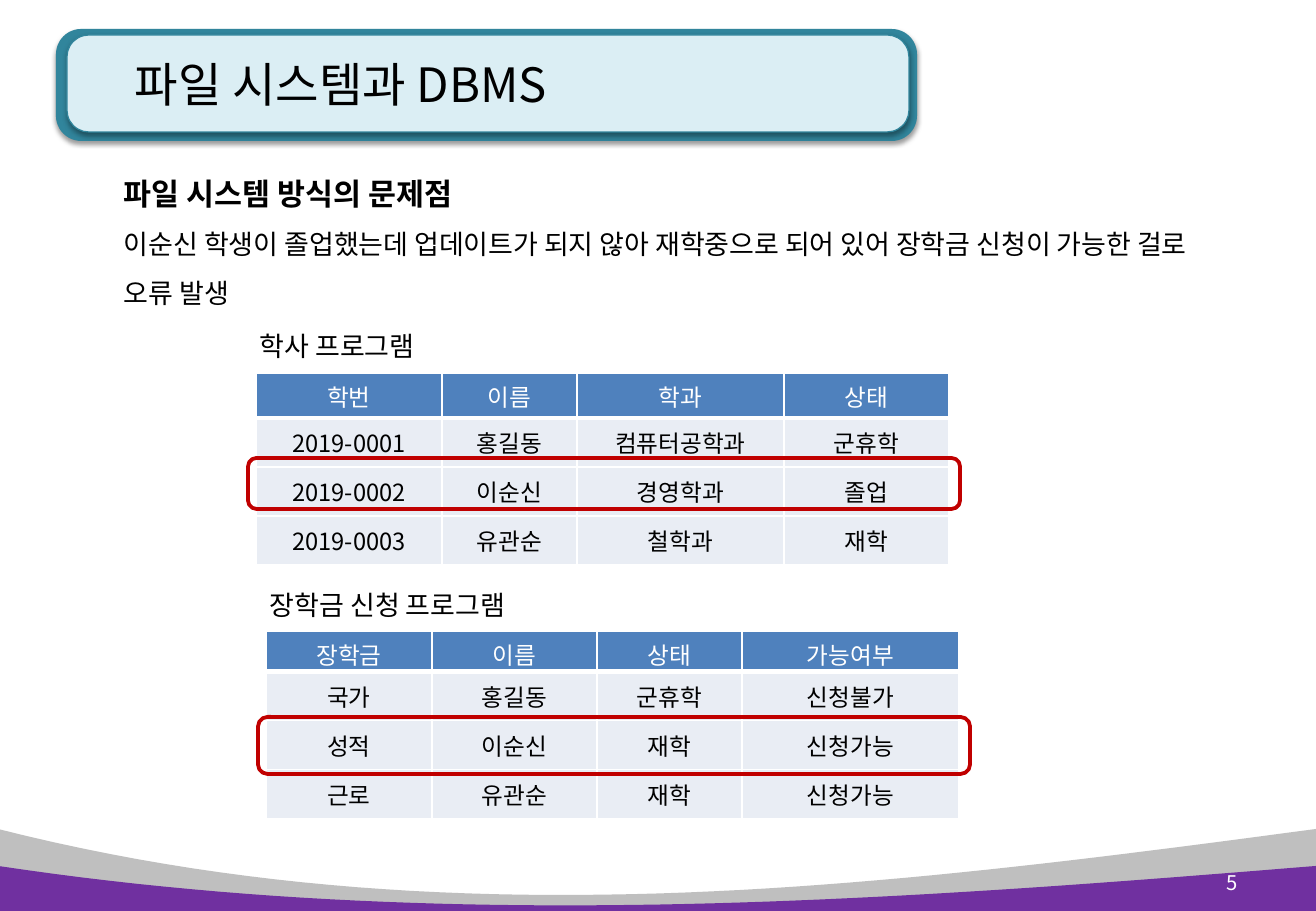
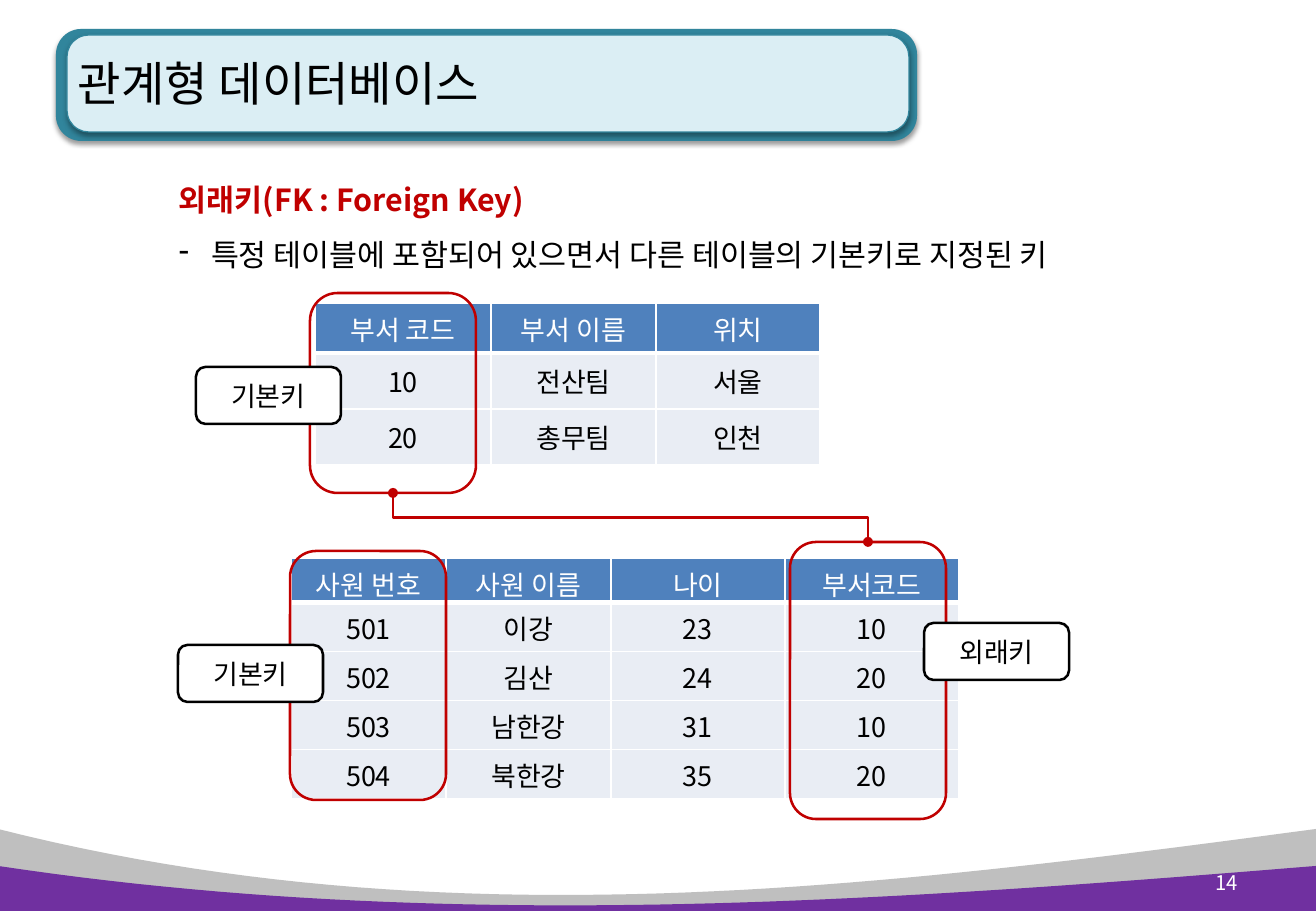
from dataclasses import dataclass

from lxml.etree import SubElement
from pptx import Presentation
from pptx.dml.color import RGBColor
from pptx.enum.shapes import MSO_CONNECTOR as Wire, MSO_SHAPE as Preset
from pptx.enum.text import MSO_ANCHOR as Anchor, MSO_AUTO_SIZE as Fit, PP_ALIGN as Align
from pptx.oxml.ns import qn
from pptx.util import Pt

SCALE = 914400 / 121.5


@dataclass(frozen=True)
class Theme:
    font: str = "Noto Sans CJK KR"
    black: str = "000000"
    white: str = "FFFFFF"
    red: str = "C00000"
    teal: str = "31859C"
    pale: str = "DBEEF4"
    grey: str = "BFBFBF"
    purple: str = "7030A0"
    header: str = "4F81BD"
    body: str = "E9EDF4"
    title_size: int = 28
    heading_size: int = 18
    text_size: int = 16
    cell_size: int = 14
    number_size: int = 12


def emu(pixels):
    return round(pixels * SCALE)


def curve(start, first, second, end, steps=48):
    points = []
    for step in range(steps + 1):
        t = step / steps
        weights = ((1 - t) ** 3, 3 * t * (1 - t) ** 2, 3 * t * t * (1 - t), t ** 3)
        points.append(tuple(
            emu(sum(w * p[axis] for w, p in zip(weights, (start, first, second, end))))
            for axis in (0, 1)))
    return points


class Slides:
    """Draws lecture pages in one theme on the current slide."""

    def __init__(self, theme):
        self.theme = theme
        self.deck = Presentation()
        self.deck.slide_width, self.deck.slide_height = emu(1316), emu(911)
        self.layout = self.deck.slide_layouts[5]
        self.page = None

    def open_page(self, title, place, number):
        self.page = self.deck.slides.add_slide(self.layout)
        if len(self.deck.slides) == 1:
            self.dress_layout()
        box = self.page.shapes.title
        box.left, box.top, box.width, box.height = map(emu, place)
        frame = box.text_frame
        frame.text = title
        frame.word_wrap, frame.auto_size = True, Fit.NONE
        frame.vertical_anchor, frame.margin_left = Anchor.MIDDLE, emu(51)
        self.style(frame.paragraphs[0], self.theme.title_size, align=Align.LEFT)
        frame = self.text(number, (1176, 858, 74, 49))
        frame.vertical_anchor = Anchor.MIDDLE
        self.style(frame.paragraphs[0], self.theme.number_size, self.theme.white, align=Align.RIGHT)

    def dress_layout(self):
        theme = self.theme
        band = [
            self.wave((-2, 829), (443, 942), (875, 888), (1316, 829), 911, theme.grey),
            self.rounded((56, 29, 861, 112), theme.teal, corner=0.225),
            self.rounded((67, 35, 842, 97), theme.pale, theme.teal, 0.75, corner=0.225),
            self.wave((-2, 866), (443, 933), (875, 902), (1316, 866), 915, theme.purple),
        ]
        for plate in band[1:3]:
            self.add_shadow(plate)
        for index, shape in enumerate(band):
            shape.element.nvSpPr.cNvPr.set("id", str(100 + index))
            self.layout.shapes.element.append(shape.element)

    def wave(self, start, first, second, end, bottom, color):
        points = curve(start, first, second, end)
        points += [(emu(end[0]), emu(bottom)), (emu(start[0]), emu(bottom))]
        builder = self.page.shapes.build_freeform(*points[0], scale=1.0)
        builder.add_line_segments(points[1:], close=True)
        shape = builder.convert_to_shape()
        self.paint(shape, color)
        return shape

    def rounded(self, place, fill=None, line=None, weight=1.5, corner=None):
        shape = self.page.shapes.add_shape(Preset.ROUNDED_RECTANGLE, *map(emu, place))
        if corner:
            shape.adjustments[0] = corner
        self.paint(shape, fill, line, weight)
        return shape

    def paint(self, shape, fill=None, line=None, weight=1.5):
        shape.shadow.inherit = False
        if fill:
            shape.fill.solid()
            shape.fill.fore_color.rgb = RGBColor.from_string(fill)
        else:
            shape.fill.background()
        if line:
            shape.line.color.rgb = RGBColor.from_string(line)
            shape.line.width = Pt(weight)
        else:
            shape.line.fill.background()

    def add_shadow(self, shape):
        effects = shape.element.spPr.find(qn("a:effectLst"))
        shadow = SubElement(effects, qn("a:outerShdw"), blurRad=str(Pt(3.1)),
                            dist=str(Pt(1.6)), dir="5400000", rotWithShape="0")
        color = SubElement(shadow, qn("a:srgbClr"), val=self.theme.black)
        SubElement(color, qn("a:alpha"), val="38000")

    def style(self, para, size, color=None, bold=False, align=None, spacing=None):
        para.alignment, para.line_spacing = align, spacing
        for span in para.runs:
            font = span.font
            font.name, font.size, font.bold = self.theme.font, Pt(size), bold
            font.color.rgb = RGBColor.from_string(color or self.theme.black)
            SubElement(font._element, qn("a:ea"), typeface=self.theme.font)

    def text(self, words, place):
        frame = self.page.shapes.add_textbox(*map(emu, place)).text_frame
        frame.word_wrap = True
        frame.text = words
        return frame

    def caption(self, words, place):
        self.style(self.text(words, place).paragraphs[0], self.theme.text_size)

    def passage(self, heading, detail, place, color=None, size=None):
        frame = self.text(f"{heading}\n{detail}", place)
        first, second = frame.paragraphs
        self.style(first, self.theme.heading_size, color, bold=True, spacing=1.5)
        self.style(second, size or self.theme.text_size, spacing=1.5)
        return frame

    def dash(self, para, indent):
        properties = para._p.get_or_add_pPr()
        properties.set("marL", str(emu(indent)))
        properties.set("indent", str(-emu(indent)))
        SubElement(properties, qn("a:buChar"), char="-")

    def label(self, words, left, top):
        shape = self.rounded((left, top, 145, 57), self.theme.white, self.theme.black)
        shape.text_frame.text = words
        shape.text_frame.vertical_anchor = Anchor.MIDDLE
        self.style(shape.text_frame.paragraphs[0], self.theme.text_size, align=Align.CENTER)

    def ring(self, place, weight=1.5):
        return self.rounded(place, line=self.theme.red, weight=weight)

    def table(self, rows, left, top, widths, header_height, row_height, size):
        theme = self.theme
        heights = [header_height] + [row_height] * (len(rows) - 1)
        grid = self.page.shapes.add_table(
            len(rows), len(widths), *map(emu, (left, top, sum(widths), sum(heights)))).table
        grid.first_row = grid.horz_banding = False
        for column, width in zip(grid.columns, widths):
            column.width = emu(width)
        for index, (row, height, words) in enumerate(zip(grid.rows, heights, rows)):
            row.height = emu(height)
            fill, color = (theme.body, theme.black) if index else (theme.header, theme.white)
            for cell, word in zip(row.cells, words):
                cell.text = word
                cell.vertical_anchor = Anchor.MIDDLE
                self.style(cell.text_frame.paragraphs[0], size, color, align=Align.CENTER)
                self.border(cell, 1 if index else 3)
                cell.fill.solid()
                cell.fill.fore_color.rgb = RGBColor.from_string(fill)

    def border(self, cell, bottom):
        properties = cell._tc.get_or_add_tcPr()
        for side, weight in zip("LRTB", (1, 1, 1, bottom)):
            line = SubElement(properties, qn(f"a:ln{side}"), w=str(Pt(weight)))
            SubElement(SubElement(line, qn("a:solidFill")), qn("a:srgbClr"), val=self.theme.white)

    def link(self, upper, lower):
        line = self.page.shapes.add_connector(Wire.ELBOW, 0, 0, 0, 0)
        line.begin_connect(upper, 2)
        line.end_connect(lower, 0)
        width, height = line.width, line.height
        line.left += (width - height) // 2
        line.top += (height - width) // 2
        line.width, line.height = height, width
        turn = line._element.spPr.find(qn("a:xfrm"))
        turn.set("rot", "16200000")
        turn.set("flipH", "1")
        line.line.color.rgb = RGBColor.from_string(self.theme.red)
        line.line.width = Pt(1.5)
        stroke = line.line._get_or_add_ln()
        for tip in ("a:headEnd", "a:tailEnd"):
            SubElement(stroke, qn(tip), type="oval")
        SubElement(line._element.spPr, qn("a:effectLst"))


def file_system_page(slides):
    theme = slides.theme
    slides.open_page("파일 시스템과 DBMS", (84, 27, 824, 114), "5")
    students = [
        ("학번", "이름", "학과", "상태"),
        ("2019-0001", "홍길동", "컴퓨터공학과", "군휴학"),
        ("2019-0002", "이순신", "경영학과", "졸업"),
        ("2019-0003", "유관순", "철학과", "재학"),
    ]
    scholarships = [
        ("장학금", "이름", "상태", "가능여부"),
        ("국가", "홍길동", "군휴학", "신청불가"),
        ("성적", "이순신", "재학", "신청가능"),
        ("근로", "유관순", "재학", "신청가능"),
    ]
    slides.table(students, 256, 373, (186, 135, 207, 165), 45, 49, theme.cell_size)
    slides.caption("학사 프로그램", (248, 324, 245, 45))
    slides.table(scholarships, 266, 631, (166, 165, 145, 217), 40, 49, theme.cell_size)
    slides.caption("장학금 신청 프로그램", (258, 583, 350, 45))
    slides.ring((258, 717, 712, 57), 2.25)
    slides.ring((248, 458, 712, 51), 2.25)
    slides.passage(
        "파일 시스템 방식의 문제점",
        "이순신 학생이 졸업했는데 업데이트가 되지 않아 재학중으로 되어 있어 "
        "장학금 신청이 가능한 걸로 오류 발생",
        (112, 151, 1089, 165))


def foreign_key_page(slides):
    theme = slides.theme
    slides.open_page("관계형 데이터베이스", (27, 26, 632, 114), "14")
    frame = slides.passage(
        "외래키(FK : Foreign Key)",
        "특정 테이블에 포함되어 있으면서 다른 테이블의 기본키로 지정된 키",
        (141, 157, 1075, 123), theme.red, theme.heading_size)
    frame.margin_left = emu(38)
    slides.dash(frame.paragraphs[1], 32)
    employees = [
        ("사원 번호", "사원 이름", "나이", "부서코드"),
        ("501", "이강", "23", "10"),
        ("502", "김산", "24", "20"),
        ("503", "남한강", "31", "10"),
        ("504", "북한강", "35", "20"),
    ]
    departments = [
        ("부서 코드", "부서 이름", "위치"),
        ("10", "전산팀", "서울"),
        ("20", "총무팀", "인천"),
    ]
    slides.table(employees, 291, 558, (155, 165, 174, 174), 43, 49, theme.text_size)
    foreign_key = slides.ring((790, 542, 156, 277))
    slides.ring((290, 551, 156, 249))
    slides.table(departments, 315, 303, (176, 165, 164), 50, 56, theme.text_size)
    primary_key = slides.ring((310, 293, 166, 200))
    slides.label("외래키", 924, 623)
    slides.label("기본키", 196, 367)
    slides.label("기본키", 178, 645)
    slides.link(primary_key, foreign_key)


lecture = Slides(Theme())
file_system_page(lecture)
foreign_key_page(lecture)
lecture.deck.save("out.pptx")
